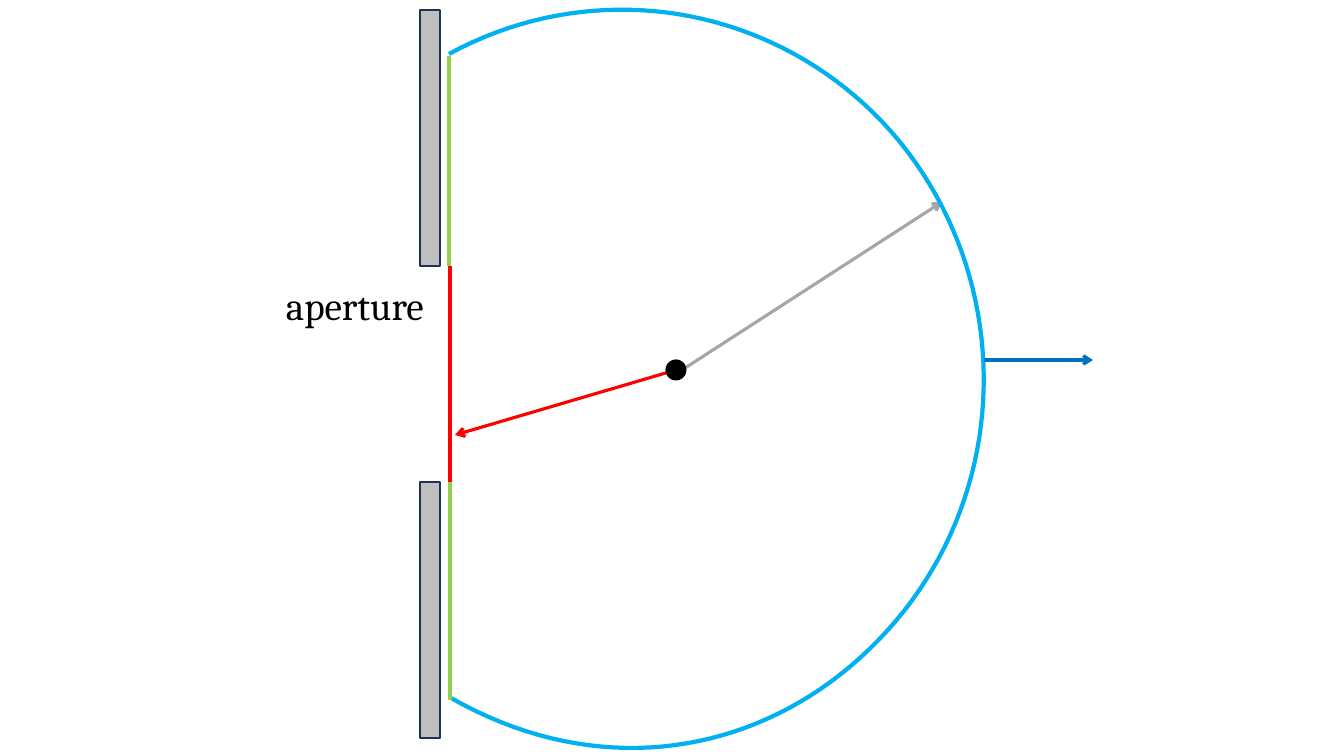
from dataclasses import dataclass

import pptx
import pptx.dml.color
import pptx.enum.shapes
import pptx.enum.text
import pptx.oxml
import pptx.oxml.ns
import pptx.util

EMU_PER_PX = 12192000 / 1344
FONT = "Cambria"
BLACK, GREY, RED, GREEN = "000000", "A6A6A6", "FF0000", "92D050"
BAR_FILL, BAR_EDGE, WAVE_BLUE, ARROW_BLUE = "BFBFBF", "1E3256", "00B0F0", "0070C0"

Point = tuple[int, int]


@dataclass(frozen=True)
class Line:
    start: Point
    end: Point
    color: str
    width: float
    arrow: bool = False


@dataclass(frozen=True)
class Block:
    kind: pptx.enum.shapes.MSO_SHAPE
    box: tuple[int, int, int, int]
    fill: str
    edge: str
    width: float


RADIUS = Line((682, 370), (942, 202), GREY, 2.25, arrow=True)
LINES = [
    Line((449, 56), (449, 266), GREEN, 3),
    Line((450, 482), (450, 700), GREEN, 3),
    Line((450, 266), (450, 482), RED, 3),
    Line((984, 360), (1093, 360), ARROW_BLUE, 2.25, arrow=True),
    Line((676, 370), (455, 435), RED, 2.25, arrow=True),
]
RECT, OVAL = pptx.enum.shapes.MSO_SHAPE.RECTANGLE, pptx.enum.shapes.MSO_SHAPE.OVAL
BARS = [Block(RECT, (420, top, 20, 256), BAR_FILL, BAR_EDGE, 1) for top in (10, 482)]
SOURCE_DOT = Block(OVAL, (666, 360, 20, 20), BLACK, BLACK, 0.75)

# Cubic Bezier chain: start, then two controls and an end per segment
WAVEFRONT: list[Point] = [
    (449, 54),
    (601, -29), (789, 7), (900, 142),
    (1010, 278), (1012, 474), (904, 611),
    (795, 748), (616, 792), (451, 698),
]
STEPS = 40


def px(n: float) -> pptx.util.Emu:
    return pptx.util.Emu(round(n * EMU_PER_PX))


def rgb(color: str) -> pptx.dml.color.RGBColor:
    return pptx.dml.color.RGBColor.from_string(color)


def style_line(s, color: str, width: float) -> None:
    s.line.color.rgb = rgb(color)
    s.line.width = pptx.util.Pt(width)


def draw_line(slide, line: Line) -> None:
    s = slide.shapes.add_connector(
        pptx.enum.shapes.MSO_CONNECTOR.STRAIGHT, *map(px, line.start + line.end))
    style_line(s, line.color, line.width)
    if line.arrow:
        tail = pptx.oxml.parse_xml(
            f'<a:tailEnd {pptx.oxml.ns.nsdecls("a")} type="arrow"/>')
        s.line._get_or_add_ln().append(tail)
    s._element.spPr.append(
        pptx.oxml.parse_xml(f'<a:effectLst {pptx.oxml.ns.nsdecls("a")}/>'))


def draw_block(slide, block: Block) -> None:
    s = slide.shapes.add_shape(block.kind, *map(px, block.box))
    s.shadow.inherit = False
    s.fill.solid()
    s.fill.fore_color.rgb = rgb(block.fill)
    style_line(s, block.edge, block.width)


def bezier(a: Point, b: Point, c: Point, d: Point, t: float) -> tuple[int, int]:
    u = 1 - t
    x, y = (u**3 * a[i] + 3 * u * u * t * b[i] + 3 * u * t * t * c[i] + t**3 * d[i]
            for i in (0, 1))
    return px(x), px(y)


def draw_wavefront(slide, chain: list[Point]) -> None:
    points = [bezier(*chain[i:i + 4], k / STEPS)
              for i in range(0, len(chain) - 1, 3) for k in range(1, STEPS + 1)]
    builder = slide.shapes.build_freeform(*map(px, chain[0]))
    builder.add_line_segments(points, close=False)
    s = builder.convert_to_shape()
    s.shadow.inherit = False
    s.fill.background()
    style_line(s, WAVE_BLUE, 3)


def draw_label(slide, text: str) -> None:
    tf = slide.shapes.add_textbox(*map(px, (276, 276, 208, 74))).text_frame
    tf.word_wrap = True
    p = tf.paragraphs[0]
    p.text = text
    p.font.name = FONT
    p.font.size = pptx.util.Pt(28)
    p.font.color.rgb = rgb(BLACK)


def main() -> None:
    prs = pptx.Presentation()
    prs.slide_width, prs.slide_height = px(1344), px(756)
    slide = prs.slides.add_slide(prs.slide_layouts[6])

    # Radius lies under the wavefront
    draw_line(slide, RADIUS)
    # Screen with its opening
    for bar in BARS:
        draw_block(slide, bar)
    draw_wavefront(slide, WAVEFRONT)
    draw_label(slide, "aperture")
    # Surface parts and direction arrows
    for line in LINES:
        draw_line(slide, line)
    draw_block(slide, SOURCE_DOT)

    prs.save("out.pptx")


if __name__ == "__main__":
    main()
